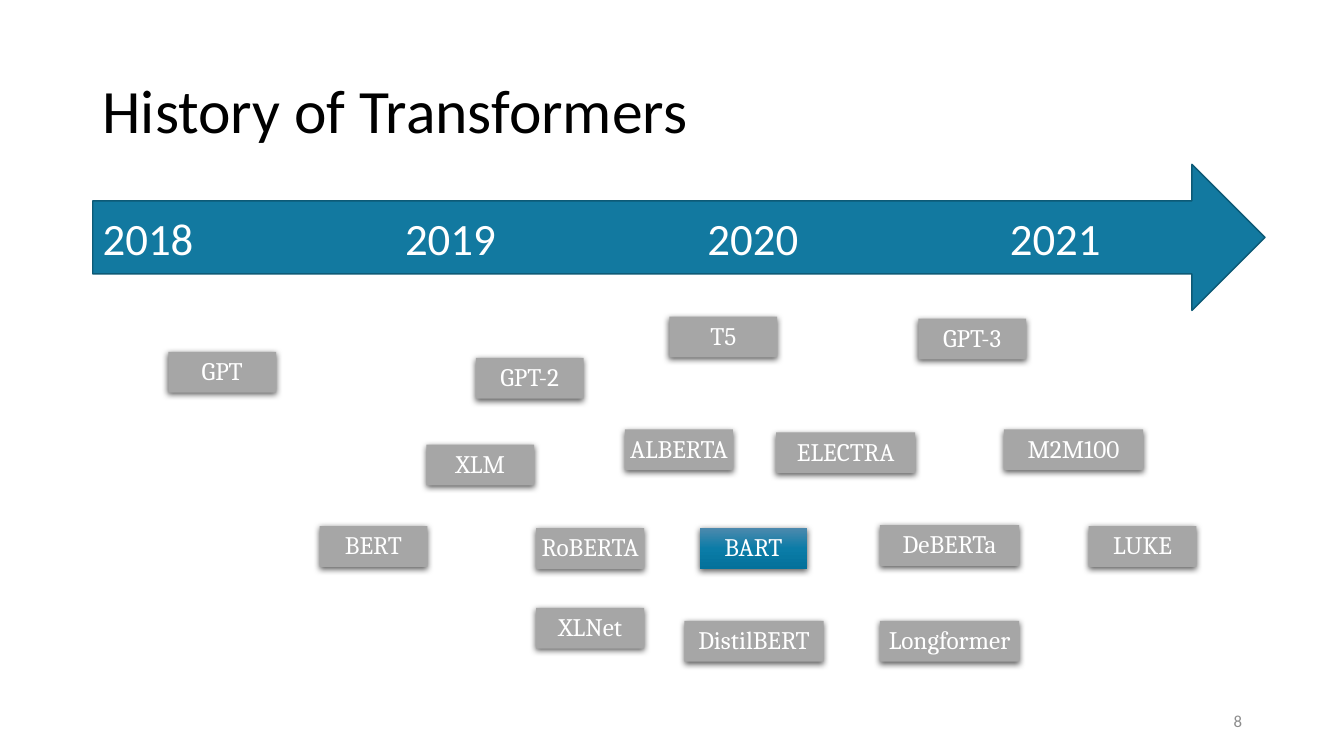
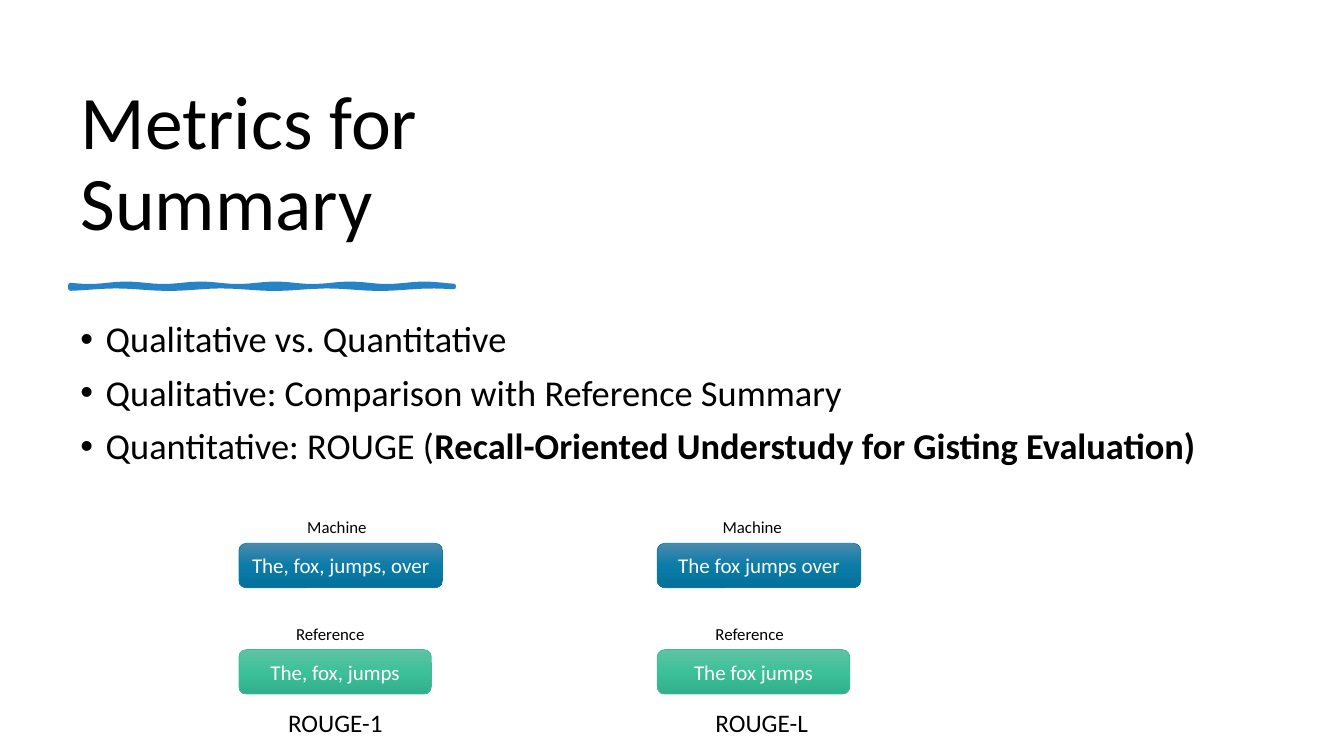
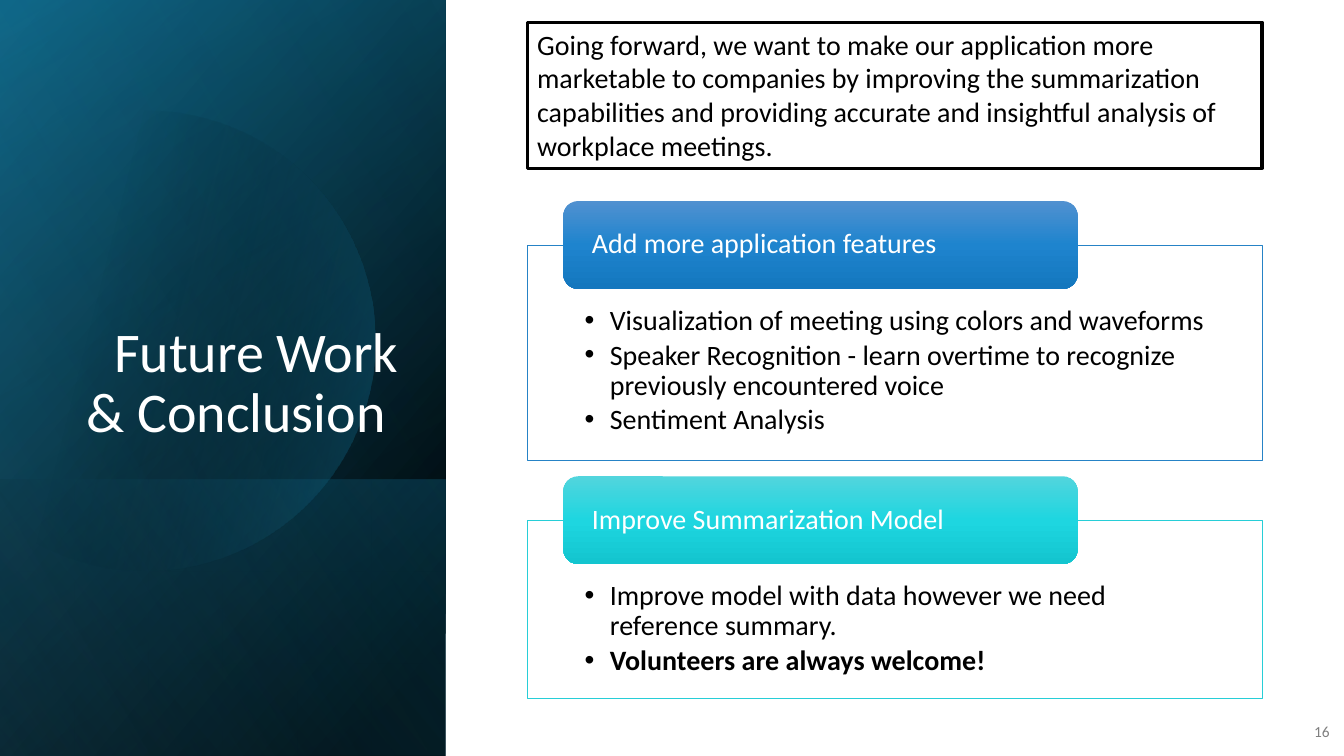
import math

from lxml import etree
from pptx import Presentation
from pptx import util as u
from pptx.dml.color import RGBColor
from pptx.enum import shapes, text
from pptx.oxml.ns import qn

CELL = 0.1  # inches per grid column and row
COLUMNS, ROWS = 133.33, 75

COLOURS = {
    "white": "FFFFFF", "black": "000000", "grey": "A6A6A6",
    "number": "8C8C8C", "number_dark": "808080",
    "teal": "1279A0", "teal_edge": "0D5A76", "deep_teal": "0D5B78", "sky": "4CBFEB",
    "green": "42BA97", "blue": "2683C6", "aqua": "27CED7",
}
# Each stop is position, colour and, where it is not solid, opacity in percent.
GLOSS = {
    "teal": [(0, "4C89AD"), (50, "0B7CA7"), (100, "03719B")],
    "green": [(0, "5FC3A3"), (50, "3CC09A"), (100, "30B08B")],
    "blue": [(0, "5191D0"), (50, "1E84CE"), (100, "1477BE")],
    "aqua": [(0, "52D5DD"), (50, "1ED6E0"), (100, "13C5CF")],
}
ALIGN = {"left": text.PP_ALIGN.LEFT, "center": text.PP_ALIGN.CENTER, "right": text.PP_ALIGN.RIGHT}
ANCHOR = {"top": text.MSO_ANCHOR.TOP, "middle": text.MSO_ANCHOR.MIDDLE, "bottom": text.MSO_ANCHOR.BOTTOM}
RECT = shapes.MSO_SHAPE.RECTANGLE
ROUNDED = shapes.MSO_SHAPE.ROUNDED_RECTANGLE


def cells(count):
    return u.Inches(count * CELL)


def rgb(name):
    return RGBColor.from_string(COLOURS[name])


def add_xml(parent, tag, **attributes):
    return etree.SubElement(parent, qn(tag), {key: str(value) for key, value in attributes.items()})


class Deck:
    """Holds the style and the slide being filled; places are grid columns and rows."""

    def __init__(self):
        self.show = Presentation()
        self.show.slide_width, self.show.slide_height = cells(COLUMNS), cells(ROWS)
        self.slide = None

    def new_slide(self):
        self.slide = self.show.slides.add_slide(self.show.slide_layouts[6])

    def fill_text(self, frame, lines, size, colour="black", font="Calibri", align="left", anchor="top",
                  spacing=1.0, gap=0, bullets=False, insets=(1, 0.5, 1, 0.5), tab_stops=()):
        """Fill a frame; a line is a string or a pair of plain and bold text."""
        frame.word_wrap = True
        frame.vertical_anchor = ANCHOR[anchor]
        (frame.margin_left, frame.margin_top,
         frame.margin_right, frame.margin_bottom) = map(cells, insets)
        for index, line in enumerate(lines):
            plain, bold = (line, "") if isinstance(line, str) else line
            paragraph = frame.paragraphs[0] if index == 0 else frame.add_paragraph()
            paragraph.text = plain
            if bold:
                strong = paragraph.add_run()
                strong.text, strong.font.bold = bold, True
            paragraph.alignment = ALIGN[align]
            paragraph.line_spacing = spacing
            if index:
                paragraph.space_before = u.Pt(gap)
            properties = paragraph._p.get_or_add_pPr()
            if bullets:
                indent = cells(2.5)
                properties.set("marL", str(indent))
                properties.set("indent", str(-indent))
                add_xml(properties, "a:buFont", typeface="Arial")
                add_xml(properties, "a:buChar", char="•")
            if tab_stops:
                stops = add_xml(properties, "a:tabLst")
                for stop in tab_stops:
                    add_xml(stops, "a:tab", pos=cells(stop), algn="l")
            for run in paragraph.runs:
                run.font.size, run.font.name = u.Pt(size), font
                run.font.color.rgb = rgb(colour)

    def label(self, at, lines, size, **style):
        box = self.slide.shapes.add_textbox(*map(cells, at))
        self.fill_text(box.text_frame, lines, size, **style)

    def title(self, at, wording, size=44, **style):
        self.label(at, [wording], size, spacing=0.9, **style)

    def page_number(self, at, number, size=12, colour="number"):
        self.label(at, [number], size, colour=colour, align="right", anchor="middle")

    def paint(self, shape, fill, line=None, width=0.5, angle=90):
        """Fill with a colour name or a list of gradient stops."""
        shape.shadow.inherit = False
        if isinstance(fill, str):
            shape.fill.solid()
            shape.fill.fore_color.rgb = rgb(fill)
        else:
            shape.fill.gradient()
            shape.fill.gradient_angle = 360 - angle
            stop_list = shape.element.spPr.find(".//" + qn("a:gsLst"))
            for old in list(stop_list):
                stop_list.remove(old)
            for position, colour, *opacity in fill:
                stop = add_xml(stop_list, "a:gs", pos=position * 1000)
                tint = add_xml(stop, "a:srgbClr", val=COLOURS.get(colour, colour))
                if opacity:
                    add_xml(tint, "a:alpha", val=opacity[0] * 1000)
        if line:
            shape.line.color.rgb = rgb(line)
            shape.line.width = u.Pt(width)
        else:
            shape.line.fill.background()

    def box(self, kind, at, fill, lines=(), size=18, line=None, width=0.5, angle=90, **style):
        shape = self.slide.shapes.add_shape(kind, *map(cells, at))
        self.paint(shape, fill, line, width, angle)
        if lines:
            self.fill_text(shape.text_frame, lines, size, **style)
        return shape

    def outline(self, points, fill, **paint):
        start, *rest = [(cells(x), cells(y)) for x, y in points]
        builder = self.slide.shapes.build_freeform(*start)
        builder.add_line_segments(rest, close=True)
        shape = builder.convert_to_shape()
        self.paint(shape, fill, **paint)
        return shape

    def chip(self, name, column, row, width, fill):
        """Small box with a soft shadow below it."""
        chip = self.box(RECT, (column, row, width, 4.05), fill, [name], colour="white", font="Cambria",
                        align="center", anchor="middle", spacing=0.9, insets=(0.2,) * 4)
        effects = chip.element.spPr.find(qn("a:effectLst"))
        shadow = add_xml(effects, "a:outerShdw", blurRad=u.Pt(4.5), dist=u.Pt(1.5),
                         dir=90 * 60000, algn="ctr", rotWithShape=0)
        add_xml(add_xml(shadow, "a:srgbClr", val=COLOURS["black"]), "a:alpha", val=63000)

    def brush_stroke(self, left, top, length, thickness):
        steps = [length * step / 60 for step in range(61)]
        upper = [(left + x, top + 0.12 * math.sin(x * 0.85)) for x in steps]
        lower = [(left + x, top + thickness + 0.12 * math.sin(x * 0.6 + 2)) for x in steps]
        stroke = self.outline(upper + lower[::-1], "blue", line="blue", width=3.5)
        add_xml(stroke.element.spPr.find(qn("a:ln")), "a:round")

    def side_layer(self, depth, stops, angle):
        """Gradient over the lowest rows of the side band, turned a quarter and mirrored."""
        band = 44.2
        left, top = (band - depth) / 2, ROWS - (depth + band) / 2
        layer = self.box(RECT, (left, top, depth, band), stops, angle=angle)
        layer.rotation = 90
        layer.element.spPr.find(qn("a:xfrm")).set("flipH", "1")

    def feature_panel(self, top, height, heading, points, hue):
        self.box(RECT, (52.3, top, 72.9, height), "white", points, 20, line=hue,
                 spacing=0.9, gap=3, bullets=True, insets=(5.7, 6.1, 5.7, 1.6))
        self.box(ROUNDED, (55.9, top - 4.35, 51, 8.7), GLOSS[hue], [heading], 20,
                 colour="white", anchor="middle", spacing=0.9, insets=(2.4, 0, 2.4, 0))


def history(deck):
    deck.new_slide()
    deck.title((9.2, 4, 115, 14.5), "History of Transformers", anchor="middle")
    deck.page_number((94.2, 69.5, 30, 4), "8")
    deck.box(shapes.MSO_SHAPE.RIGHT_ARROW, (9.2, 16.3, 116.3, 14.5), "teal",
             ["2018\t2019\t2020\t2021"], 32, line="teal_edge", width=1, colour="white",
             anchor="middle", tab_stops=(30, 60, 90))
    models = {
        10.7: [("GPT", 16.7, 34.9), ("BERT", 31.7, 52.2), ("XLM", 42.3, 44.1), ("GPT-2", 47.2, 35.5),
               ("T5", 66.4, 31.4), ("XLNet", 53.2, 60.3), ("BART", 69.4, 52.4), ("RoBERTA", 53.2, 52.4),
               ("ALBERTA", 62, 42.6), ("LUKE", 108, 52.2), ("GPT-3", 91.1, 31.6)],
        13.8: [("DistilBERT", 67.9, 61.6), ("ELECTRA", 77, 42.9), ("M2M100", 99.6, 42.6),
               ("DeBERTa", 87.3, 52.1), ("Longformer", 87.3, 61.6)],
    }
    for width, placed in models.items():
        for name, column, row in placed:
            deck.chip(name, column, row, width, GLOSS["teal"] if name == "BART" else "grey")


def metrics(deck):
    deck.new_slide()
    deck.title((7, 3.6, 47.8, 21.4), "Metrics for Summary", 54, anchor="bottom")
    deck.brush_stroke(7, 28.3, 38, 0.2)
    deck.label((7, 31.4, 114.9, 36.3),
               ["Qualitative vs. Quantitative",
                "Qualitative: Comparison with Reference Summary",
                ("Quantitative: ROUGE (", "Recall-Oriented Understudy for Gisting Evaluation)")],
               26, spacing=0.9, gap=10, bullets=True)
    # Score, left edge, machine and reference wording, label columns from top to bottom
    examples = [
        ("ROUGE-1", 23.7, "The, fox, jumps, over", "The, fox, jumps", (29.5, 28.4, 27.6)),
        ("ROUGE-L", 65.2, "The fox jumps over", "The fox jumps", (70.7, 70, 70)),
    ]
    for score, left, machine, reference, (machine_at, reference_at, score_at) in examples:
        for wording, row, width, hue in ((machine, 53.9, 20.2, "teal"), (reference, 64.45, 19.1, "green")):
            deck.box(ROUNDED, (left, row, width, 4.4), GLOSS[hue], [wording], 15, line=hue,
                     colour="white", align="center", anchor="middle")
        for caption, column, row, size in (("Machine", machine_at, 50.75, 12),
                                           ("Reference", reference_at, 61.35, 12),
                                           (score, score_at, 69.7, 18)):
            deck.label((column, row, 14.3, size / 4.5), [caption], size)


def future(deck):
    deck.new_slide()
    deck.side_layer(ROWS, [(8, "black"), (100, "deep_teal")], 50)
    deck.side_layer(ROWS, [(0, "black", 0), (99, "teal", 46)], 30)
    deck.side_layer(27.4, [(2, "teal", 29), (100, "black", 30)], 130)
    centre_x, centre_y, radius = 14.4, 33.8, 22.8
    reach = math.acos(-centre_x / radius)  # the disc is cut at the slide's left edge
    turns = [reach * step / 60 for step in range(-60, 61)]
    deck.outline([(centre_x + radius * math.cos(turn), centre_y + radius * math.sin(turn)) for turn in turns],
                 [(29, "black", 0), (100, "teal", 43)], angle=14)
    deck.side_layer(ROWS, [(0, "black", 0), (99, "sky", 11)], 120)
    deck.title((6.4, 18.4, 34.1, 26.2), "Future Work & Conclusion ", 40, colour="white",
               align="right", anchor="bottom")
    deck.page_number((128, 70.6, 4.9, 4), "16", 11, "number_dark")
    deck.feature_panel(24.3, 21.4, "Add more application features",
                       ["Visualization of meeting using colors and waveforms",
                        "Speaker Recognition - learn overtime to recognize previously encountered voice",
                        "Sentiment Analysis"], "blue")
    deck.feature_panel(51.6, 17.7, "Improve Summarization Model",
                       ["Improve model with data however we need reference summary.",
                        ("", "Volunteers are always welcome!")], "aqua")
    deck.box(RECT, (52.3, 2.2, 72.9, 14.5), "white",
             ["Going forward, we want to make our application more marketable to companies by improving "
              "the summarization capabilities and providing accurate and insightful analysis of "
              "workplace meetings. "], 20, line="black", width=2.25)


def main():
    deck = Deck()
    for build in (history, metrics, future):
        build(deck)
    deck.show.save("out.pptx")


if __name__ == "__main__":
    main()
